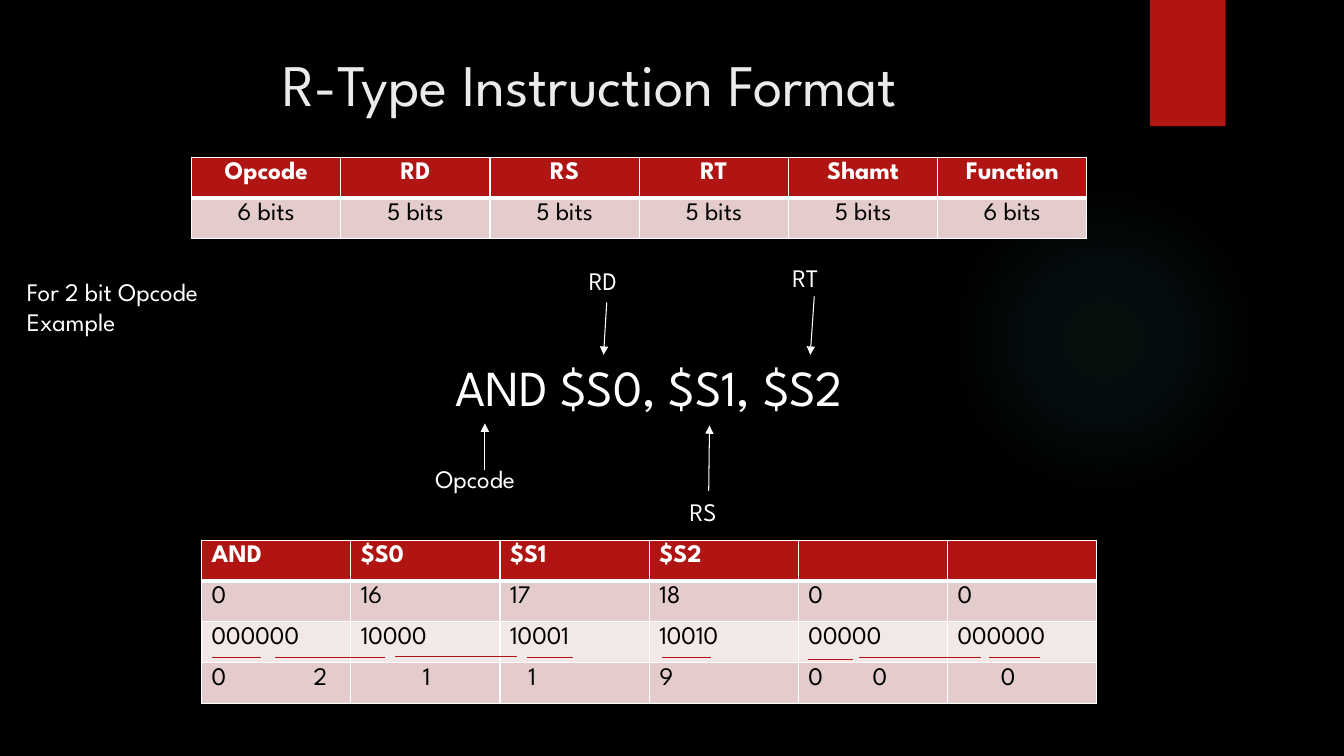
"""Build the slide on the R-type instruction format."""
from dataclasses import dataclass

from pptx import Presentation
from pptx.dml.color import RGBColor
from pptx.enum.shapes import MSO_CONNECTOR as Connector, MSO_SHAPE as Shape
from pptx.enum.text import PP_ALIGN as Align
from pptx.oxml import parse_xml
from pptx.oxml.ns import nsdecls
from pptx.util import Cm, Pt


@dataclass(frozen=True)
class Theme:
    """Colours, font and type sizes of the slide."""
    font: str = "League Spartan"
    black: str = "000000"
    white: str = "FFFFFF"
    title: str = "EBEBEB"
    red: str = "B01513"
    band: str = "E4CCCC"
    light_band: str = "F2E8E7"
    glow: str = "50B9C1"
    title_size: int = 42
    code_size: int = 36
    body_size: int = 18
    hairline: float = 0.75


THEME = Theme()
COLUMN, ROW = 3.76, 1.03

FIELDS = [
    ["Opcode", "RD", "RS", "RT", "Shamt", "Function"],
    ["6 bits", "5 bits", "5 bits", "5 bits", "5 bits", "6 bits"],
]
ENCODING = [
    ["AND", "$S0", "$S1", "$S2", "", ""],
    ["0", "16", "17", "18", "0", "0"],
    ["000000", "10000", "10001", "10010", "00000", "000000"],
    ["0\t2", "\t1", "\t1", "9", "0\t0", "\t0"],
]
HEX_TABS = [2.57, 1.56, 0.46, None, 1.62, 1.09]
LABELS = [
    ("Opcode", 10.72, 11.56, 0.25),
    ("RD", 13.82, 6.55, 1.02),
    ("RT", 18.95, 6.48, 1.02),
    ("RS", 16.36, 12.37, 1.02),
]
ARROWS = [
    (12.22, 11.84, 12.22, 10.67),
    (15.29, 7.62, 15.21, 8.94),
    (17.86, 12.37, 17.88, 10.72),
    (20.52, 7.47, 20.42, 8.94),
]
NIBBLES = [
    (5.33, 6.58, 16.56), (6.93, 9.7, 16.56), (9.96, 13.03, 16.54),
    (13.28, 14.43, 16.56), (16.69, 17.93, 16.56), (20.35, 21.49, 16.61),
    (21.64, 24.71, 16.56), (24.92, 26.21, 16.56),
]


def rgb(code):
    """Turn a hex code into a colour."""
    return RGBColor.from_string(code)


def write(frame, text, size=THEME.body_size, color=THEME.white, bold=False,
          align=Align.LEFT, tab=None):
    """Write each line of text as a formatted paragraph."""
    for index, line in enumerate(text.split("\n")):
        para = frame.add_paragraph() if index else frame.paragraphs[0]
        para.alignment = align
        if tab:
            para._p.get_or_add_pPr().append(parse_xml(
                f'<a:tabLst {nsdecls("a")}><a:tab pos="{Cm(tab)}" algn="l"/></a:tabLst>'))
        span = para.add_run()
        span.text = line
        span.font.name = THEME.font
        span.font.size = Pt(size)
        span.font.bold = bold
        span.font.color.rgb = rgb(color)


def add_text(page, text, left, top, width, height, inset=0.25, **style):
    """Add a wrapping text box."""
    box = page.shapes.add_textbox(Cm(left), Cm(top), Cm(width), Cm(height))
    box.text_frame.word_wrap = True
    box.text_frame.margin_left = Cm(inset)
    write(box.text_frame, text, **style)


def add_shape(page, kind, left, top, width, height):
    """Add a shape without outline or shadow."""
    shape = page.shapes.add_shape(kind, Cm(left), Cm(top), Cm(width), Cm(height))
    shape.shadow.inherit = False
    shape.line.fill.background()
    return shape


def add_glow(page):
    """Add the faint round glow at the right."""
    glow = add_shape(page, Shape.OVAL, 23.9, 4.65, 7.82, 7.82)
    stops = "".join(
        f'<a:gs pos="{place}000"><a:srgbClr val="{THEME.glow}">'
        f'<a:alpha val="{opacity}000"/></a:srgbClr></a:gs>'
        for place, opacity in [(0, 7), (36, 6), (69, 0)])
    gradient = parse_xml(
        f'<a:gradFill {nsdecls("a")}><a:gsLst>{stops}</a:gsLst><a:path path="circle">'
        '<a:fillToRect l="50000" t="50000" r="50000" b="50000"/></a:path></a:gradFill>')
    glow._element.spPr.find(
        "{http://schemas.openxmlformats.org/drawingml/2006/main}prstGeom").addnext(gradient)


def add_line(page, start_x, start_y, end_x, end_y, color, arrow=False):
    """Add a thin straight line, with an arrowhead at its end if wanted."""
    line = page.shapes.add_connector(
        Connector.STRAIGHT, Cm(start_x), Cm(start_y), Cm(end_x), Cm(end_y))
    line.line.color.rgb = rgb(color)
    line.line.width = Pt(THEME.hairline)
    if arrow:
        line.line._get_or_add_ln().append(
            parse_xml(f'<a:tailEnd {nsdecls("a")} type="triangle"/>'))
    line._element.spPr.append(parse_xml(f'<a:effectLst {nsdecls("a")}/>'))


def set_borders(cell, row):
    """Draw white cell borders, thicker beneath the header row."""
    widths = {"L": 1, "R": 1, "T": 3 if row == 1 else 1, "B": 3 if row == 0 else 1}
    for side, width in widths.items():
        cell._tc.get_or_add_tcPr().append(parse_xml(
            f'<a:ln{side} {nsdecls("a")} w="{Pt(width)}"><a:solidFill>'
            f'<a:srgbClr val="{THEME.white}"/></a:solidFill></a:ln{side}>'))


def add_table(page, rows, left, top, align=Align.LEFT, last_tabs=None):
    """Add a table with a red header and banded rows."""
    count = len(rows[0])
    table = page.shapes.add_table(
        len(rows), count, Cm(left), Cm(top),
        Cm(COLUMN * count), Cm(ROW * len(rows))).table
    for column in table.columns:
        column.width = Cm(COLUMN)
    for row, texts in enumerate(rows):
        header = row == 0
        table.rows[row].height = Cm(ROW)
        band = THEME.red if header else THEME.band if row % 2 else THEME.light_band
        tabs = last_tabs if last_tabs and row == len(rows) - 1 else [None] * count
        for column, text in enumerate(texts):
            cell = table.cell(row, column)
            set_borders(cell, row)
            cell.fill.solid()
            cell.fill.fore_color.rgb = rgb(band)
            if text:
                write(cell.text_frame, text, bold=header, align=align, tab=tabs[column],
                      color=THEME.white if header else THEME.black)


def main():
    """Build and save the deck."""
    deck = Presentation()
    deck.slide_width, deck.slide_height = Cm(33.87), Cm(19.05)
    page = deck.slides.add_slide(deck.slide_layouts[6])
    page.background.fill.solid()
    page.background.fill.fore_color.rgb = rgb(THEME.black)

    add_glow(page)
    ribbon = add_shape(page, Shape.RECTANGLE, 28.98, 0, 1.91, 3.18)
    ribbon.fill.solid()
    ribbon.fill.fore_color.rgb = rgb(THEME.red)

    add_text(page, "R-Type Instruction Format", 1.8, 1.09, 26.14, 3.89,
             size=THEME.title_size, color=THEME.title, align=Align.CENTER)
    add_table(page, FIELDS, 4.83, 3.96, align=Align.CENTER)
    add_text(page, "For 2 bit Opcode\nExample", 0.43, 6.83, 8.79, 1.8)
    add_text(page, "AND $S0, $S1, $S2", 0.66, 8.86, 31.42, 1.8,
             size=THEME.code_size, align=Align.CENTER)
    for arrow in ARROWS:
        add_line(page, *arrow, THEME.white, arrow=True)
    for text, left, top, inset in LABELS:
        add_text(page, text, left, top, 3.71, 1.02, inset=inset)

    add_table(page, ENCODING, 5.08, 13.61, last_tabs=HEX_TABS)
    for start, end, level in NIBBLES:
        add_line(page, start, level, end, level, THEME.red)
    deck.save("out.pptx")


if __name__ == "__main__":
    main()
